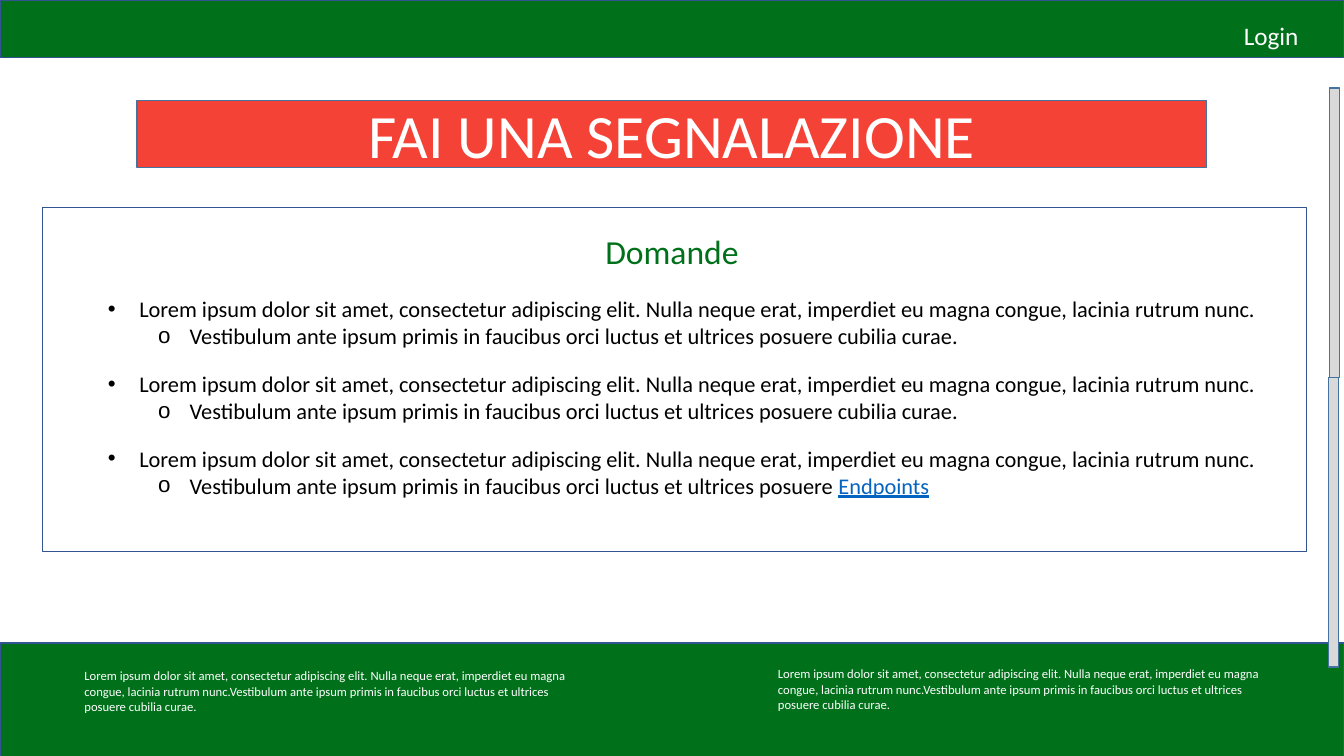
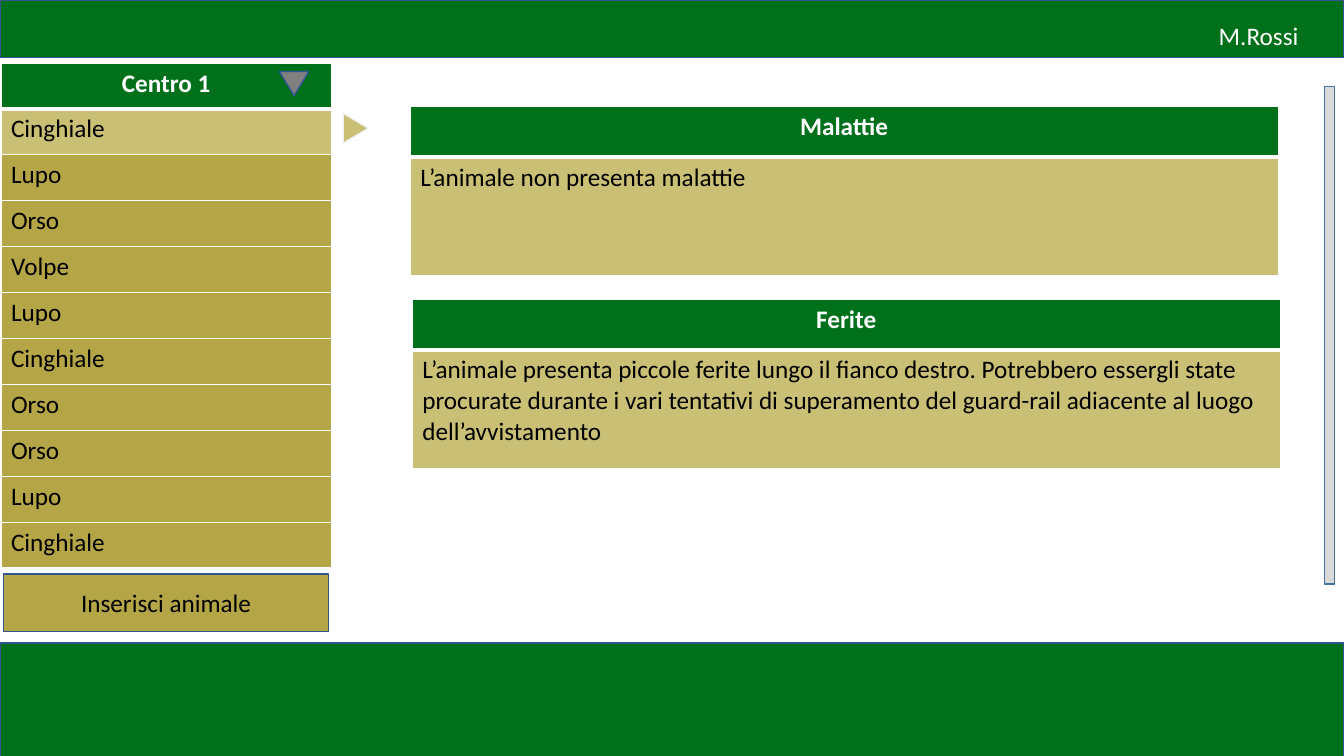
from pptx import Presentation
from pptx.dml.color import RGBColor
from pptx.enum.shapes import MSO_SHAPE as Geo
from pptx.enum.text import MSO_ANCHOR as Anchor, MSO_AUTO_SIZE as Auto, PP_ALIGN as Align
from pptx.oxml.ns import qn
from pptx.util import Pt
from lxml.etree import SubElement, Element

GREEN, RED, WHITE, BLACK = "00701A", "F44336", "FFFFFF", "000000"
SAND, GOLD, PALE, GREY = "C9BF75", "B4A647", "D9D9D9", "808080"
NAVY, STEEL, LINK = "325491", "43739E", "0563C1"
WIDTH, HEIGHT = 960, 540

LOREM = ("Lorem ipsum dolor sit amet, consectetur adipiscing elit. "
         "Nulla neque erat, imperdiet eu magna congue, lacinia rutrum nunc.")
VEST = "Vestibulum ante ipsum primis in faucibus orci luctus et ultrices posuere "
CURAE = "cubilia curae."
ITEMS = [(LOREM, VEST, CURAE), (LOREM, VEST, CURAE), (LOREM, VEST, "Endpoints")]
NOTES = [(53.2, 473.8), (548.6, 472.4)]

HERD = ["Centro 1", "Cinghiale", "Lupo", "Orso", "Volpe", "Lupo",
        "Cinghiale", "Orso", "Orso", "Lupo", "Cinghiale"]
PANELS = [
    (293, 76.3, "Malattie", "L’animale non presenta malattie"),
    (294.5, 213.8, "Ferite",
     "L’animale presenta piccole ferite lungo il fianco destro. "
     "Potrebbero essergli state procurate durante i vari tentativi di "
     "superamento del guard-rail adiacente al luogo dell’avvistamento"),
]


def rgb(code):
    return RGBColor.from_string(code)


def style(para, size, color, align=Align.LEFT, bold=False):
    para.alignment = align
    font = para.font
    font.name, font.size, font.bold = "Calibri", Pt(size), bold
    font.color.rgb = rgb(color)


def paint(shape, fill, line):
    shape.fill.solid()
    shape.fill.fore_color.rgb = rgb(fill)
    shape.line.color.rgb = rgb(line)
    shape.line.width = Pt(1)


def place(shape, box):
    shape.left, shape.top, shape.width, shape.height = map(Pt, box)


def draw(slide, box, fill, line, geo=Geo.RECTANGLE, turn=0):
    shape = slide.shapes.add_shape(geo, *map(Pt, box))
    shape.shadow.inherit = False
    shape.rotation = turn
    paint(shape, fill, line)
    return shape


def write(slide, box, text, size, color, align=Align.LEFT):
    frame = slide.shapes.add_textbox(*map(Pt, box)).text_frame
    frame.word_wrap = True
    frame.text = text
    style(frame.paragraphs[0], size, color, align)


def bullet(para, mark, left, level):
    props = para._p.get_or_add_pPr()
    props.set("marL", str(Pt(left)))
    props.set("indent", str(Pt(-22.5)))
    SubElement(props, qn("a:buChar")).set("char", mark)
    para.level = level


def border(cell, top, low):
    props = cell._tc.get_or_add_tcPr()
    for spot, (side, width) in enumerate(zip("LRTB", (1, 1, top, low))):
        line = Element(qn("a:ln" + side), w=str(Pt(width)))
        fill = SubElement(line, qn("a:solidFill"))
        SubElement(fill, qn("a:srgbClr")).set("val", WHITE)
        props.insert(spot, line)


def grid(slide, left, top, width, heights, texts, fills):
    table = slide.shapes.add_table(
        len(texts), 1, Pt(left), Pt(top), Pt(width), Pt(sum(heights))).table
    table.columns[0].width = Pt(width)
    for row, (high, text, fill) in enumerate(zip(heights, texts, fills)):
        table.rows[row].height = Pt(high)
        cell = table.cell(row, 0)
        cell.text = text
        cell.fill.solid()
        cell.fill.fore_color.rgb = rgb(fill)
        border(cell, 3 if row == 1 else 1, 3 if row == 0 else 1)
        head = row == 0
        style(cell.text_frame.paragraphs[0], 18, WHITE if head else BLACK,
              Align.CENTER if head else Align.LEFT, head)


def page(deck, layout, user):
    slide = deck.slides.add_slide(deck.slide_layouts[layout])
    draw(slide, (0, 0, WIDTH, 41), GREEN, NAVY)
    draw(slide, (0, 459.4, WIDTH, 82), GREEN, NAVY)
    write(slide, (834.6, 10.8, 100, 29), user, 18, WHITE, Align.RIGHT)
    return slide


def report(deck):
    slide = page(deck, 1, "Login")
    title, body = slide.placeholders
    place(title, (98, 72, 764, 47.5))
    paint(title, RED, STEEL)
    frame = title.text_frame
    frame.auto_size, frame.vertical_anchor = Auto.NONE, Anchor.MIDDLE
    frame.text = "FAI UNA SEGNALAZIONE"
    style(frame.paragraphs[0], 44, WHITE, Align.CENTER)

    place(body, (30.2, 148.3, 903, 245.5))
    paint(body, WHITE, NAVY)
    frame = body.text_frame
    frame.auto_size, frame.vertical_anchor = Auto.NONE, Anchor.TOP
    frame.margin_left, frame.margin_top = Pt(46.8), Pt(62.7)
    frame.margin_right = Pt(29)
    for spot, (main, lead, tail) in enumerate(ITEMS):
        first = frame.add_paragraph() if spot else frame.paragraphs[0]
        sub = frame.add_paragraph()
        first.add_run().text = main
        sub.add_run().text = lead
        end = sub.add_run()
        end.text = tail
        bullet(first, "•", 22.5, 0)
        bullet(sub, "o", 58.5, 1)
        first.space_before, sub.space_before = Pt(15 if spot else 0), Pt(0)
        for para in (first, sub):
            style(para, 16, BLACK)
    end.font.color.rgb = rgb(LINK)
    end.font.underline = True

    write(slide, (400, 161.3, 160, 36), "Domande", 24, GREEN, Align.CENTER)
    for left, top in NOTES:
        write(slide, (left, top, 362, 40), LOREM + VEST + CURAE, 9, WHITE)
    for left, top in ((949.5, 62.8), (949.1, 269.8)):
        draw(slide, (left, top, 7.2, 206.8), PALE, STEEL)


def care(deck):
    slide = page(deck, 6, "M.Rossi")
    count = len(HERD)
    grid(slide, 0.7, 45, 236, [32.8] * count, HERD,
         [GREEN, SAND] + [GOLD] * (count - 2))
    for left, top, head, text in PANELS:
        grid(slide, left, top, 620, [36, 84.7], [head, text], [GREEN, SAND])
    draw(slide, (243.4, 82.6, 21.4, 18), SAND, "F2F2F2", Geo.ISOSCELES_TRIANGLE, 90)
    draw(slide, (199.5, 51.1, 21, 17.3), GREY, NAVY, Geo.ISOSCELES_TRIANGLE, 180)
    add = draw(slide, (2.6, 410, 232.2, 41), GOLD, NAVY).text_frame
    add.text = "Inserisci animale"
    add.vertical_anchor = Anchor.MIDDLE
    style(add.paragraphs[0], 18, BLACK, Align.CENTER)
    draw(slide, (946.1, 61.9, 7.2, 355.4), PALE, STEEL)


def main():
    deck = Presentation()
    deck.slide_width, deck.slide_height = Pt(WIDTH), Pt(HEIGHT)
    report(deck)
    care(deck)
    deck.save("out.pptx")


if __name__ == "__main__":
    main()
